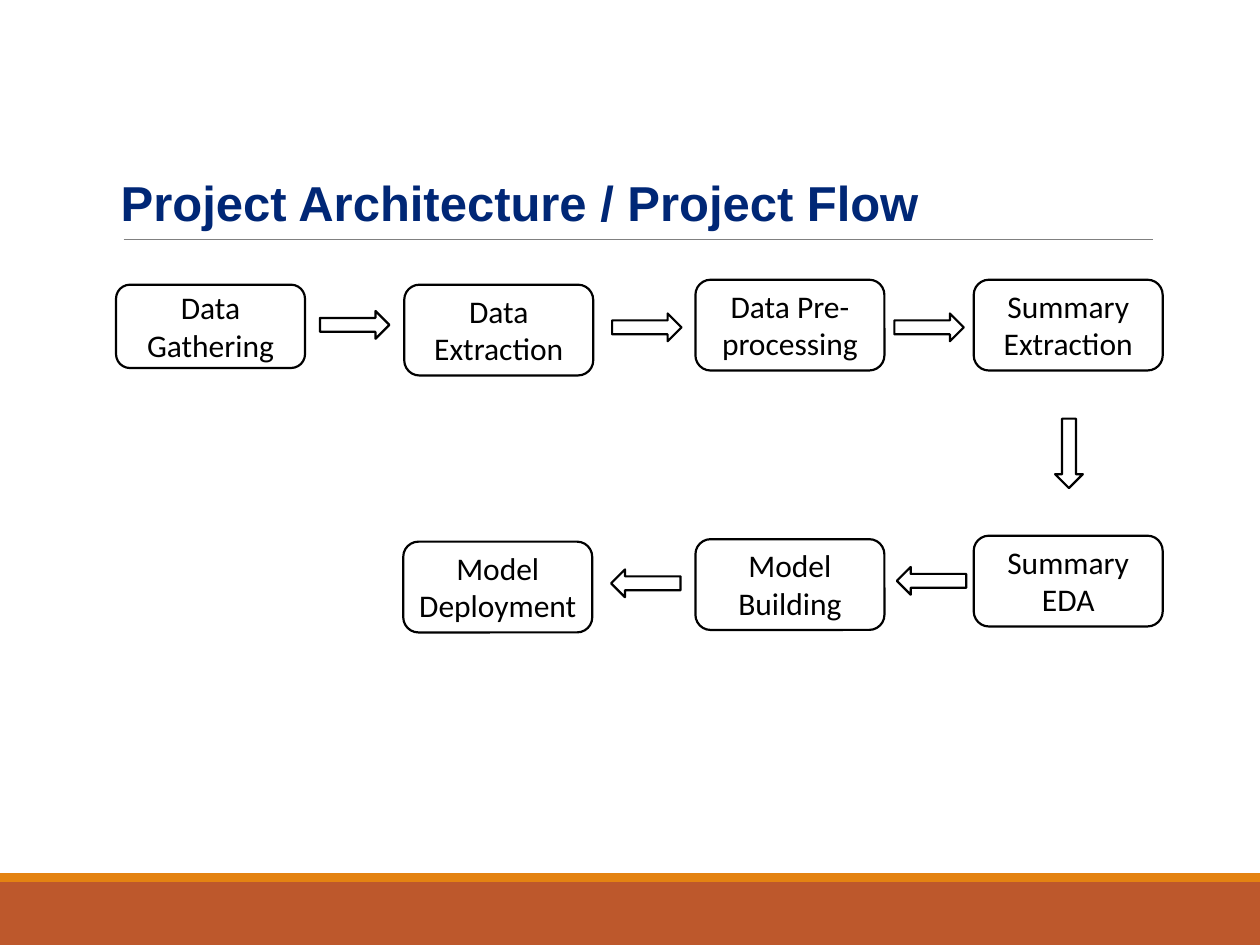
import pptx
import pptx.dml.color
import pptx.enum.shapes
import pptx.enum.text
import pptx.oxml.ns
import pptx.util
from lxml import etree

Cm = pptx.util.Cm
Pt = pptx.util.Pt
RGBColor = pptx.dml.color.RGBColor
SHAPE = pptx.enum.shapes.MSO_SHAPE
ALIGN = pptx.enum.text.PP_ALIGN
ANCHOR = pptx.enum.text.MSO_ANCHOR

WHITE = RGBColor(0xFF, 0xFF, 0xFF)
BLACK = RGBColor(0x00, 0x00, 0x00)
NAVY = RGBColor(0x00, 0x27, 0x76)
GRAY = RGBColor(0x80, 0x80, 0x80)
RUST = RGBColor(0xBD, 0x58, 0x2C)
ORANGE = RGBColor(0xE4, 0x83, 0x12)

STEP_WIDTH, STEP_HEIGHT = 3.81, 1.83
LABEL_WIDTH, LABEL_HEIGHT = 4.17, 1.8
ARROW_LENGTH, ARROW_BREADTH = 1.4, 0.56


class FlowSlide:
    """Style and drawing methods for one slide; lengths are in centimetres."""

    title_font, label_font = "Arial", "Calibri"
    title_size, label_size = Pt(28), Pt(18)
    outline = Pt(1.25)

    def __init__(self, presentation):
        self.slide = presentation.slides.add_slide(presentation.slide_layouts[5])
        self.shapes = self.slide.shapes

    def add_text(self, paragraph, text, font, size, color, bold=False):
        run = paragraph.add_run()
        run.text = text
        run.font.name = font
        run.font.size = size
        run.font.bold = bold
        run.font.color.rgb = color

    def title(self, text, left, top, width, height):
        heading = self.shapes.title
        heading.left, heading.top = Cm(left), Cm(top)
        heading.width, heading.height = Cm(width), Cm(height)
        frame = heading.text_frame
        frame.vertical_anchor = ANCHOR.TOP
        frame.paragraphs[0].alignment = ALIGN.LEFT
        self.add_text(frame.paragraphs[0], text, self.title_font,
                      self.title_size, NAVY, bold=True)

    def block(self, preset, left, top, width, height, fill, line=None):
        block = self.shapes.add_shape(preset, Cm(left), Cm(top), Cm(width), Cm(height))
        block.shadow.inherit = False
        block.fill.solid()
        block.fill.fore_color.rgb = fill
        if line is None:
            block.line.fill.background()
        else:
            block.line.color.rgb = line
            block.line.width = self.outline

    def rule(self, left, right, y):
        rule = self.shapes.add_connector(
            pptx.enum.shapes.MSO_CONNECTOR.STRAIGHT, Cm(left), Cm(y), Cm(right), Cm(y))
        rule.line.color.rgb = GRAY
        rule.line.width = Pt(0.5)
        etree.SubElement(rule._element.spPr, pptx.oxml.ns.qn("a:effectLst"))

    def step(self, lines, left, top, height=STEP_HEIGHT):
        self.block(SHAPE.ROUNDED_RECTANGLE, left, top, STEP_WIDTH, height, WHITE, BLACK)
        # The label is centred on its box and slightly wider
        label = self.shapes.add_textbox(
            Cm(left + (STEP_WIDTH - LABEL_WIDTH) / 2),
            Cm(top + (height - LABEL_HEIGHT) / 2),
            Cm(LABEL_WIDTH), Cm(LABEL_HEIGHT))
        frame = label.text_frame
        frame.word_wrap = True
        for index, text in enumerate(lines):
            paragraph = frame.add_paragraph() if index else frame.paragraphs[0]
            paragraph.alignment = ALIGN.CENTER
            self.add_text(paragraph, text, self.label_font, self.label_size, BLACK)

    def arrow(self, preset, left, top):
        size = (ARROW_LENGTH, ARROW_BREADTH)
        if preset == SHAPE.DOWN_ARROW:
            size = size[::-1]
        self.block(preset, left, top, *size, WHITE, BLACK)


def main():
    presentation = pptx.Presentation()
    presentation.slide_width, presentation.slide_height = Cm(25.4), Cm(19.05)
    flow = FlowSlide(presentation)

    # Footer bands and title
    flow.block(SHAPE.RECTANGLE, 0, 17.78, 25.4, 1.27, RUST)
    flow.block(SHAPE.RECTANGLE, 0, 17.6, 25.4, 0.18, ORANGE)
    flow.rule(2.49, 23.24, 4.83)
    flow.title("Project Architecture / Project Flow", 2.18, 3.35, 17.04, 1.45)

    # Upper row, left to right
    flow.step(["Data Gathering"], 2.34, 5.74, height=1.68)
    flow.step(["Data Extraction"], 8.15, 5.74)
    flow.step(["Data Pre-processing"], 14.02, 5.64)
    flow.step(["Summary Extraction"], 19.63, 5.64)

    # Lower row, right to left
    flow.step(["Summary", "EDA"], 19.63, 10.8)
    flow.step(["Model Building"], 14.02, 10.87)
    flow.step(["Model Deployment"], 8.13, 10.92)

    # Arrows in flow order
    for preset, left, top in (
        (SHAPE.RIGHT_ARROW, 6.45, 6.27),
        (SHAPE.RIGHT_ARROW, 12.34, 6.32),
        (SHAPE.RIGHT_ARROW, 18.03, 6.32),
        (SHAPE.DOWN_ARROW, 21.27, 8.44),
        (SHAPE.LEFT_ARROW, 18.08, 11.43),
        (SHAPE.LEFT_ARROW, 12.32, 11.48),
    ):
        flow.arrow(preset, left, top)

    presentation.save("out.pptx")


if __name__ == "__main__":
    main()
